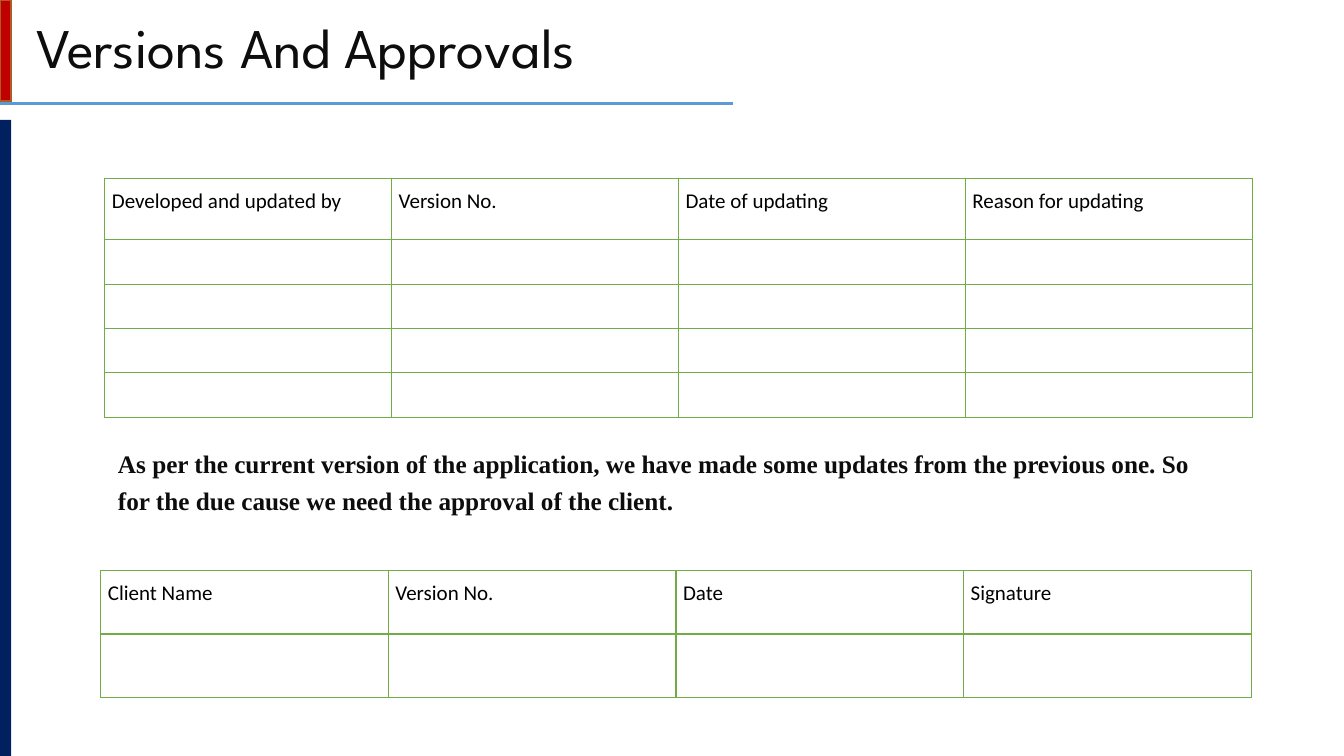
from lxml.etree import SubElement
from pptx import Presentation
from pptx.dml.color import RGBColor
from pptx.enum.shapes import MSO_CONNECTOR as Conn, MSO_SHAPE as Shape
from pptx.enum.text import MSO_ANCHOR as Anchor, MSO_AUTO_SIZE as AutoSize, PP_ALIGN as Align
from pptx.oxml.ns import qn
from pptx.util import Inches, Pt

INK = "0D0D0D"
BLACK = "000000"
GREEN = "70AD47"
RED = "C00000"
BROWN = "AF5C24"
NAVY = "002060"
BLUE = "5B9BD5"


def rgb(color):
    return RGBColor.from_string(color)


def place(sp, box):
    sp.left, sp.top, sp.width, sp.height = [Inches(v) for v in box]


def add_run(p, text, font, size, color, bold=False):
    r = p.add_run()
    r.text = text
    r.font.name = font
    r.font.size = Pt(size)
    r.font.bold = bold
    r.font.color.rgb = rgb(color)


def add_bar(s, box, fill, line=None):
    sp = s.shapes.add_shape(Shape.RECTANGLE, *[Inches(v) for v in box])
    sp.shadow.inherit = False
    sp.fill.solid()
    sp.fill.fore_color.rgb = rgb(fill)
    if line:
        sp.line.color.rgb = rgb(line)
        sp.line.width = Pt(2)
    else:
        sp.line.fill.background()


def add_rule(s, x, y, width):
    cx = s.shapes.add_connector(Conn.STRAIGHT, Inches(x), Inches(y), Inches(x + width), Inches(y))
    cx.line.color.rgb = rgb(BLUE)
    cx.line.width = Pt(2.25)
    SubElement(cx._element.spPr, qn("a:effectLst"))


def add_header(s, box):
    x, y, w, h = box
    add_bar(s, (x, y, 0.11, h + 0.01), RED, BROWN)
    add_bar(s, (x, y + h + 0.19, 0.11, 6.31), NAVY)
    add_rule(s, x, y + h + 0.03, 7.27)
    title = s.shapes.title
    place(title, (x + 0.11, y, w - 0.11, h))
    tf = title.text_frame
    tf.auto_size = AutoSize.NONE
    tf.vertical_anchor = Anchor.MIDDLE
    tf.margin_left = Inches(0.25)
    p = tf.paragraphs[0]
    p.alignment = Align.LEFT
    p.line_spacing = 0.9
    add_run(p, "Versions And Approvals", "League Spartan", 40, INK)


def add_note(s, box, text):
    body = s.placeholders[1]
    place(body, box)
    tf = body.text_frame
    tf.word_wrap = True
    tf.auto_size = AutoSize.NONE
    p = tf.paragraphs[0]
    p.line_spacing = 1.2
    p.space_before = Pt(6)
    pPr = p._p.get_or_add_pPr()
    pPr.set("marL", str(Inches(0.5)))
    pPr.set("indent", "0")
    SubElement(pPr, qn("a:buNone"))
    add_run(p, text, "Times New Roman", 18, INK, True)


def add_borders(cell):
    tcPr = cell._tc.get_or_add_tcPr()
    for side in ("lnL", "lnR", "lnT", "lnB"):
        ln = SubElement(tcPr, qn("a:" + side), w=str(Pt(0.96)))
        fill = SubElement(ln, qn("a:solidFill"))
        SubElement(fill, qn("a:srgbClr"), val=GREEN)


def add_form(s, box, heads, heights):
    frame = s.shapes.add_table(len(heights), len(heads), *[Inches(v) for v in box])
    table = frame.table
    table.first_row = table.horz_banding = False
    for col in table.columns:
        col.width = Inches(box[2] / len(heads))
    for row, height in zip(table.rows, heights):
        row.height = Inches(height)
    for cell in table.iter_cells():
        add_borders(cell)
        cell.fill.background()
        cell.margin_left = cell.margin_right = Inches(0.07)
    for cell, head in zip(table.rows[0].cells, heads):
        p = cell.text_frame.paragraphs[0]
        p.line_spacing = 1.2
        p.space_before = Pt(6)
        add_run(p, head, "Calibri", 15, BLACK)


def main():
    prs = Presentation()
    prs.slide_width, prs.slide_height = Inches(13.33), Inches(7.5)
    s = prs.slides.add_slide(prs.slide_layouts[1])
    add_header(s, (0, 0, 10.08, 1))
    add_form(s, (1.04, 1.77, 11.38, 2.38),
             ["Developed and updated by", "Version No.", "Date of updating", "Reason for updating"],
             [0.61] + [0.44] * 4)
    add_note(s, (0.57, 4.34, 11.68, 1.26),
             "As per the current version of the application, we have made some updates from the "
             "previous one. So for the due cause we need the approval of the client.")
    add_form(s, (1, 5.66, 11.41, 1.26),
             ["Client Name", "Version No.", "Date", "Signature"], [0.63] * 2)
    prs.save("out.pptx")


if __name__ == "__main__":
    main()
